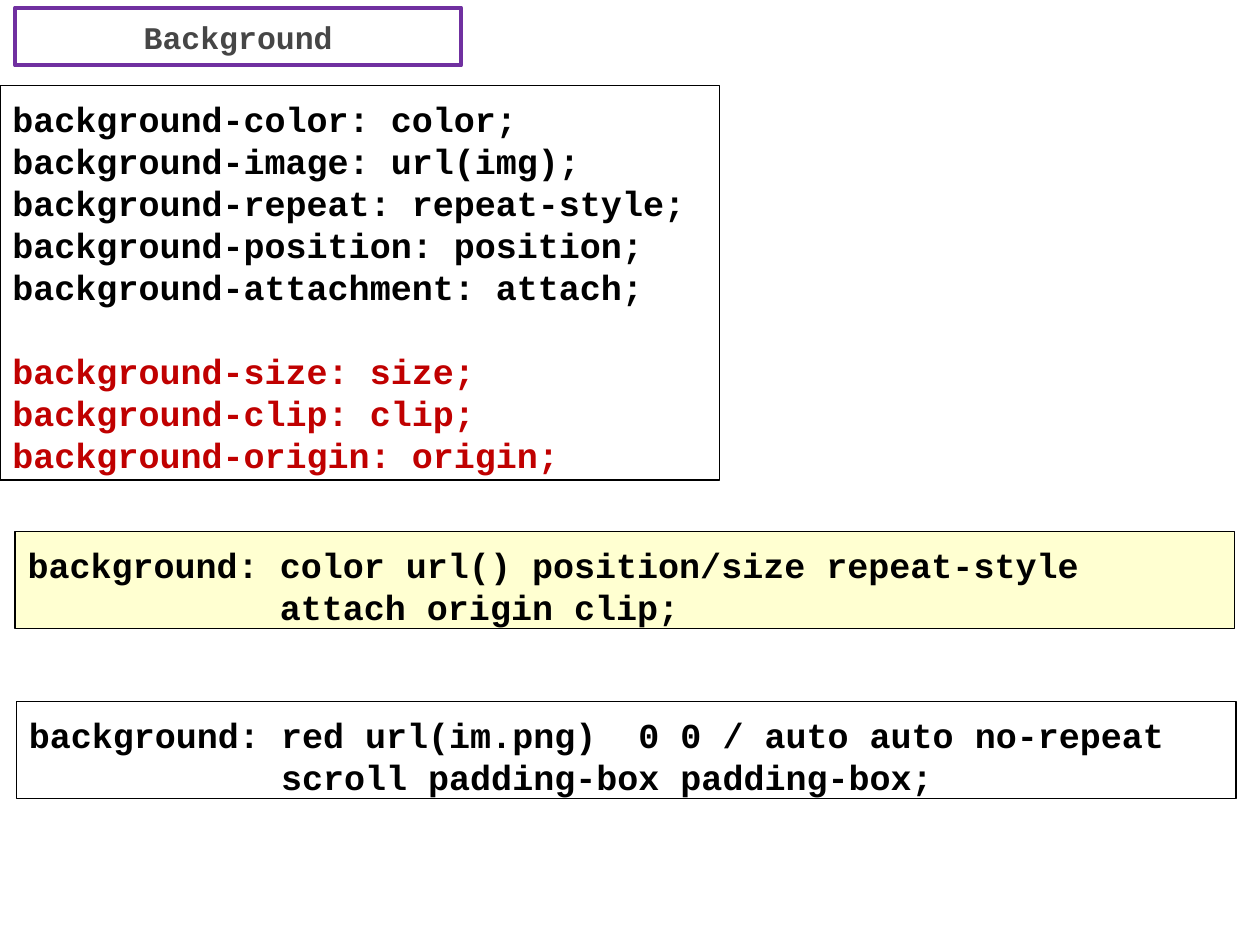
"""Build a slide on the CSS background properties."""
from lxml import etree
from pptx import Presentation
from pptx.dml.color import RGBColor
from pptx.enum.shapes import MSO_SHAPE
from pptx.enum.text import MSO_ANCHOR, MSO_AUTO_SIZE, PP_ALIGN
from pptx.oxml.ns import qn
from pptx.util import Inches, Pt

RECT = MSO_SHAPE.RECTANGLE
TOP, MIDDLE = MSO_ANCHOR.TOP, MSO_ANCHOR.MIDDLE
FIXED = MSO_AUTO_SIZE.NONE
LEFT, CENTER = PP_ALIGN.LEFT, PP_ALIGN.CENTER
FONT = "Courier New"
SIZE, PITCH = Pt(20), Pt(24)
HEX = {
    "purple": "7030A0", "gray": "464646", "black": "000000",
    "red": "C00000", "white": "FFFFFF", "yellow": "FFFF00",
}
RGB = {name: RGBColor.from_string(code) for name, code in HEX.items()}

BASIC = [
    "background-color: color;",
    "background-image: url(img);",
    "background-repeat: repeat-style;",
    "background-position: position;",
    "background-attachment: attach;",
]
NEWER = [
    "background-size: size;",
    "background-clip: clip;",
    "background-origin: origin;",
]
SHORT = [
    "background: color url() position/size repeat-style",
    "            attach origin clip;",
]
SAMPLE = [
    "background: red url(im.png)  0 0 / auto auto no-repeat",
    "            scroll padding-box padding-box;",
]
BOXES = [
    (0, 0.68, 5.71, 3.13, "white", BASIC + NEWER),
    (0.12, 4.22, 9.68, 0.77, "yellow", SHORT),
    (0.13, 5.57, 9.68, 0.77, "white", SAMPLE),
]


def style(run, size, color):
    """Format one run of code text."""
    run.font.name, run.font.size, run.font.bold = FONT, size, True
    run.font.color.rgb = RGB[color]


deck = Presentation()
deck.slide_width, deck.slide_height = Inches(10), Inches(7.5)
slide = deck.slides.add_slide(deck.slide_layouts[5])

title = slide.shapes.title
title.left, title.top = Inches(0.12), Inches(0.06)
title.width, title.height = Inches(3.54), Inches(0.46)
title.line.color.rgb, title.line.width = RGB["purple"], Pt(2.25)
frame = title.text_frame
frame.text = "Background"
frame.auto_size, frame.vertical_anchor = FIXED, MIDDLE
frame.paragraphs[0].alignment = CENTER
style(frame.paragraphs[0].runs[0], Pt(18), "gray")

for left, top, width, height, fill, lines in BOXES:
    box = slide.shapes.add_shape(
        RECT, Inches(left), Inches(top), Inches(width), Inches(height))
    box.shadow.inherit = False
    box.fill.solid()
    box.fill.fore_color.rgb = RGB[fill]
    tint = box.fill._xPr.find(qn("a:solidFill"))[0]
    etree.SubElement(tint, qn("a:alpha"), val="18000")
    box.line.color.rgb, box.line.width = RGB["black"], Pt(0.75)
    frame = box.text_frame
    frame.word_wrap, frame.auto_size = True, FIXED
    frame.vertical_anchor = TOP
    frame.margin_top, frame.margin_bottom = Inches(0.09), Inches(0.01)
    frame.text = "\n".join(lines)
    for para, line in zip(frame.paragraphs, lines):
        para.alignment, para.line_spacing = LEFT, PITCH
        if line == NEWER[0]:
            para.space_before = PITCH
        style(para.runs[0], SIZE, "red" if line in NEWER else "black")

deck.save("out.pptx")
